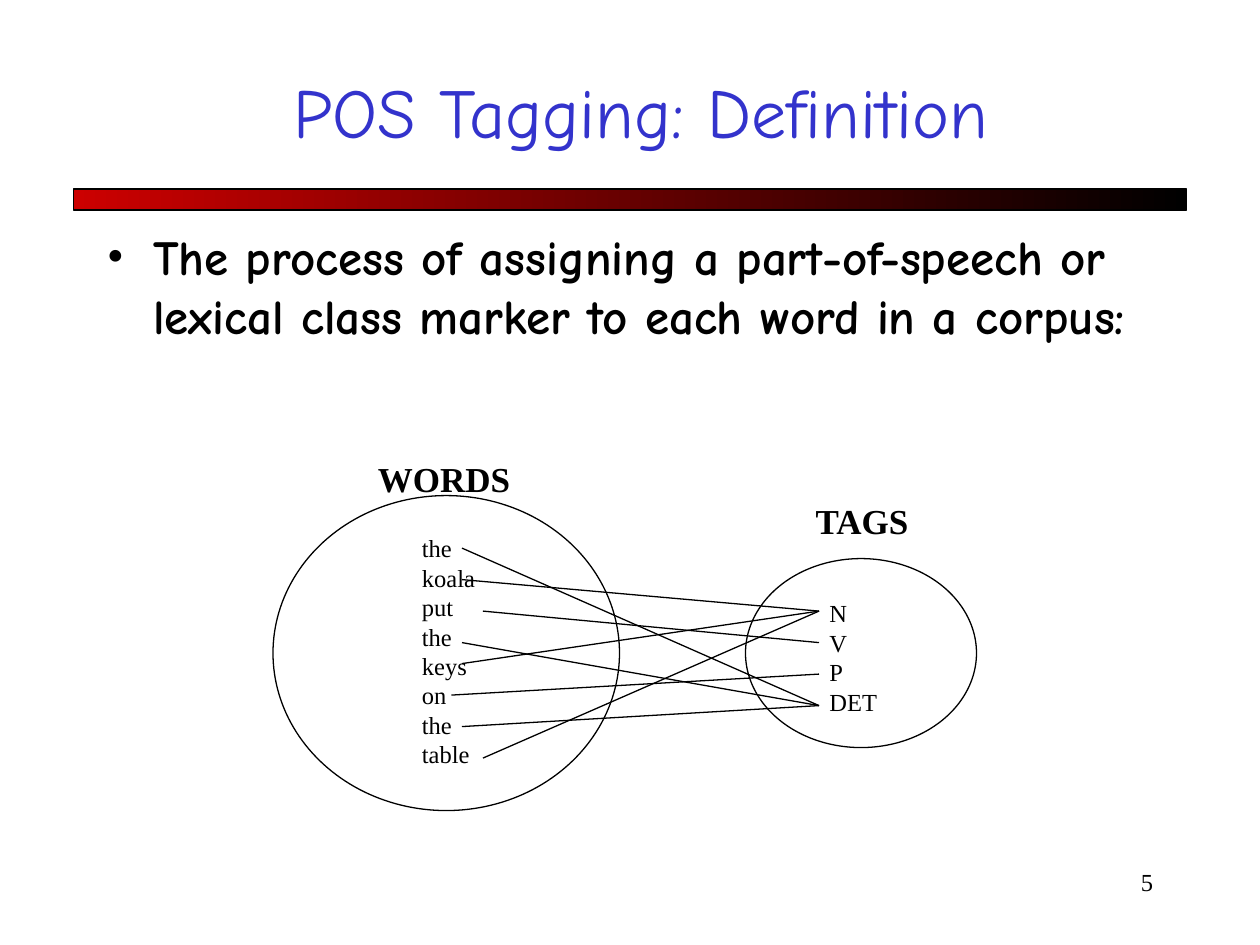
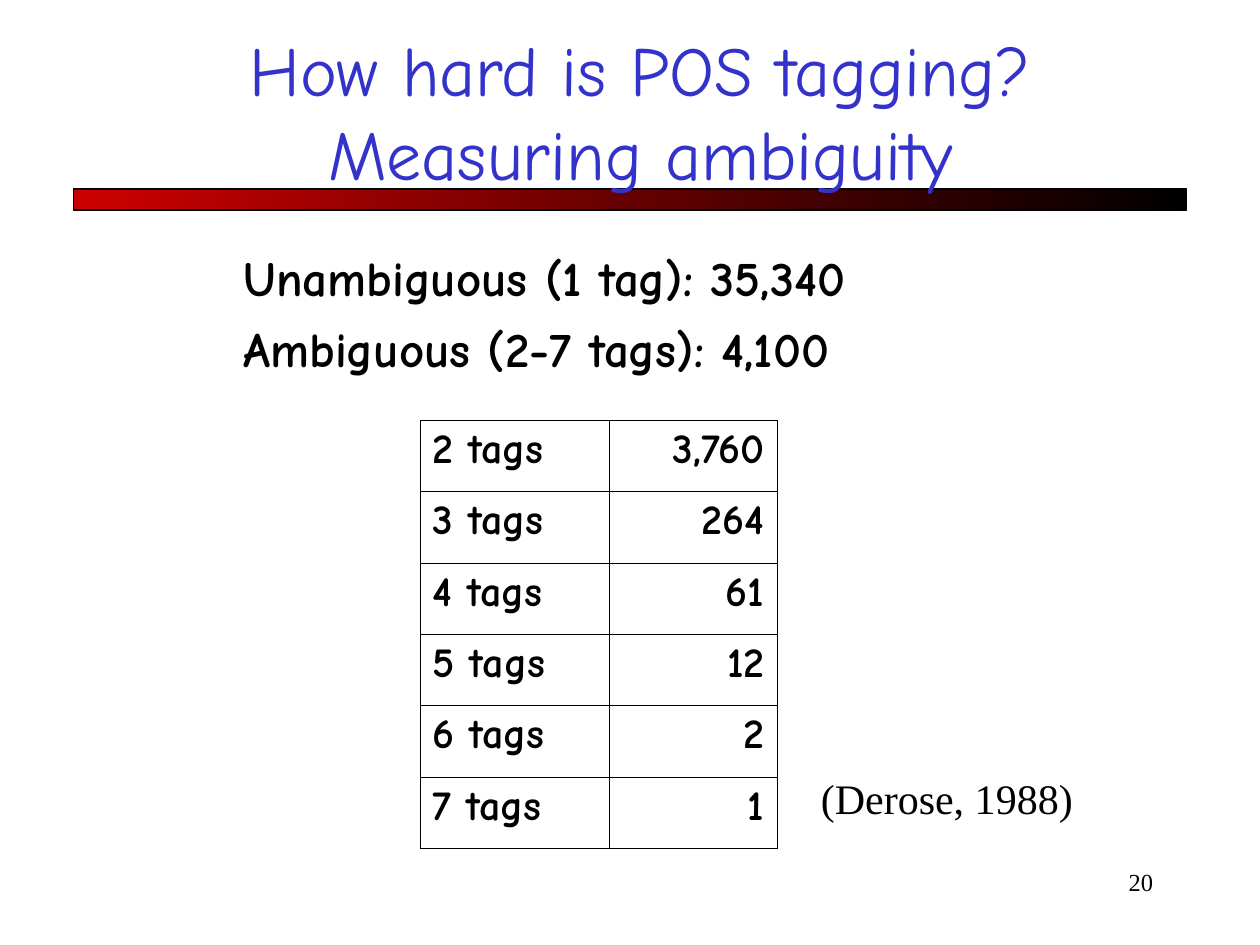
import dataclasses
import lxml.etree
import pptx
import pptx.dml.color
import pptx.enum.shapes
import pptx.enum.text
import pptx.oxml.ns
import pptx.util

Pt = pptx.util.Pt
RGB = pptx.dml.color.RGBColor
Align = pptx.enum.text.PP_ALIGN
Shape = pptx.enum.shapes.MSO_SHAPE
qn = pptx.oxml.ns.qn


@dataclasses.dataclass(frozen=True)
class Theme:
    ink: RGB = RGB(0, 0, 0)
    blue: RGB = RGB(0x33, 0x33, 0xCC)
    red: RGB = RGB(0xCC, 0, 0)
    hand: str = "Comic Neue"
    serif: str = "Times New Roman"
    title: int = 40
    body: int = 28
    cell: int = 24
    label: int = 20
    small: int = 14
    rule: float = 0.75
    hair: float = 0.25


theme = Theme()
deck = pptx.Presentation()
deck.slide_width = pptx.util.Inches(10)
deck.slide_height = pptx.util.Inches(7.5)
unit = deck.slide_width / 120  # grid of 120 columns by 90 rows


def grid(*cells):
    return [round(n * unit) for n in cells]


def write(frame, lines, size, font=theme.serif, color=theme.ink, bold=False,
          align=Align.LEFT, before=0, hang=0):
    frame.text = "\n".join(lines)
    for para in frame.paragraphs:
        para.alignment = align
        para.space_before = Pt(before)
        if hang:
            props = para._p.get_or_add_pPr()
            props.set("marL", str(round(hang * unit)))
            props.set("indent", str(round(-hang * unit)))
        for run in para.runs:
            run.font.size = Pt(size)
            run.font.name = font
            run.font.bold = bold
            run.font.color.rgb = color


# Shared frame: gradient band, title, page number
slides = []
for title, page in [("POS Tagging: Definition", "5"),
                    ("How hard is POS tagging? Measuring ambiguity", "20")]:
    slide = deck.slides.add_slide(deck.slide_layouts[6])
    slides.append(slide)
    band = slide.shapes.add_shape(Shape.RECTANGLE, *grid(7, 18, 106, 2))
    band.shadow.inherit = False
    band.fill.gradient()
    band.fill.gradient_angle = 180
    for stop, color in zip(band.fill.gradient_stops, (theme.ink, theme.red)):
        stop.color.rgb = color
    band.line.color.rgb = theme.ink
    band.line.width = Pt(theme.rule)

    head = slide.shapes.add_textbox(*grid(10, 3, 102, 15)).text_frame
    head.word_wrap = True
    head.vertical_anchor = pptx.enum.text.MSO_ANCHOR.MIDDLE
    write(head, [title], theme.title, theme.hand, theme.blue, align=Align.CENTER)

    foot = slide.shapes.add_textbox(*grid(86, 82, 25, 6)).text_frame
    foot.word_wrap = True
    write(foot, [page], theme.small, align=Align.RIGHT)

first, second = slides

# Definition with its bullet
body = first.shapes.add_textbox(*grid(9, 21, 108, 62)).text_frame
body.word_wrap = True
write(body, ["The process of assigning a part-of-speech or lexical class marker "
             "to each word in a corpus:"],
      theme.body, theme.hand, bold=True, before=7, hang=4.4)
props = body.paragraphs[0]._p.get_or_add_pPr()
lxml.etree.SubElement(props, qn("a:buFont"), typeface=theme.serif)
lxml.etree.SubElement(props, qn("a:buChar"), char="•")

# Word and tag sets
tags = ["N", "V", "P", "DET"]
links = [("the", 44, "DET"), ("koala", 44, "N"), ("put", 46, "V"),
         ("the", 44, "DET"), ("keys", 44, "N"), ("on", 43, "P"),
         ("the", 44, "DET"), ("table", 46, "N")]
words = [word for word, start, tag in links]

for box in [(26, 47.2, 33, 30), (71, 53.2, 22, 18)]:
    oval = first.shapes.add_shape(Shape.OVAL, *grid(*box))
    oval.shadow.inherit = False
    oval.fill.background()
    oval.line.color.rgb = theme.ink
    oval.line.width = Pt(theme.rule)

for box, lines, size, bold in [
        ((39, 50.2, 10, 23.6), words, theme.small, False),
        ((34.8, 43, 16, 5.3), ["WORDS"], theme.label, True),
        ((76.5, 47, 12, 5.3), ["TAGS"], theme.label, True),
        ((77.8, 56.4, 8, 12.5), tags, theme.small, False)]:
    frame = first.shapes.add_textbox(*grid(*box)).text_frame
    frame.word_wrap = True
    write(frame, lines, size, bold=bold)

# Links from each word to its tag; rows are 3 apart, the lower half sits 1 higher
for row, (word, start, tag) in enumerate(links):
    top = 52.2 + 3 * row - (row >= 4)
    end = 58.2 + 3 * tags.index(tag)
    link = first.shapes.add_connector(
        pptx.enum.shapes.MSO_CONNECTOR.STRAIGHT, *grid(start, top, 78, end))
    link.line.color.rgb = theme.ink
    link.line.width = Pt(theme.rule)
    lxml.etree.SubElement(link._element.spPr, qn("a:effectLst"))

# Totals
sums = second.shapes.add_textbox(*grid(22, 23, 75, 17)).text_frame
sums.word_wrap = True
write(sums, ["Unambiguous (1 tag): 35,340", "Ambiguous (2-7 tags): 4,100"],
      theme.body, theme.hand, bold=True, before=7, hang=4.4)

# Counts by number of tags
counts = ["3,760", "264", "61", "12", "2", "1"]
table = second.shapes.add_table(len(counts), 2, *grid(40, 40, 34, 40.8)).table
table.first_row = table.horz_banding = False
for col, width in zip(table.columns, grid(18, 16)):
    col.width = width
for row, count in enumerate(counts):
    for col, (text, align) in enumerate([(f"{row + 2} tags", Align.LEFT),
                                         (count, Align.RIGHT)]):
        cell = table.cell(row, col)
        write(cell.text_frame, [text], theme.cell, theme.hand, bold=True,
              align=align, before=6)
        cell.text_frame.paragraphs[0].line_spacing = 0.96
        props = cell._tc.get_or_add_tcPr()
        for side in ("a:lnL", "a:lnR", "a:lnT", "a:lnB"):
            edge = lxml.etree.SubElement(props, qn(side), w=str(Pt(theme.hair)))
            fill = lxml.etree.SubElement(edge, qn("a:solidFill"))
            lxml.etree.SubElement(fill, qn("a:srgbClr"), val=str(theme.ink))
        cell.fill.background()

# Citation
cite = second.shapes.add_textbox(*grid(77, 73, 28, 6)).text_frame
cite.word_wrap = True
write(cite, ["(Derose, 1988)"], theme.cell)

deck.save("out.pptx")
